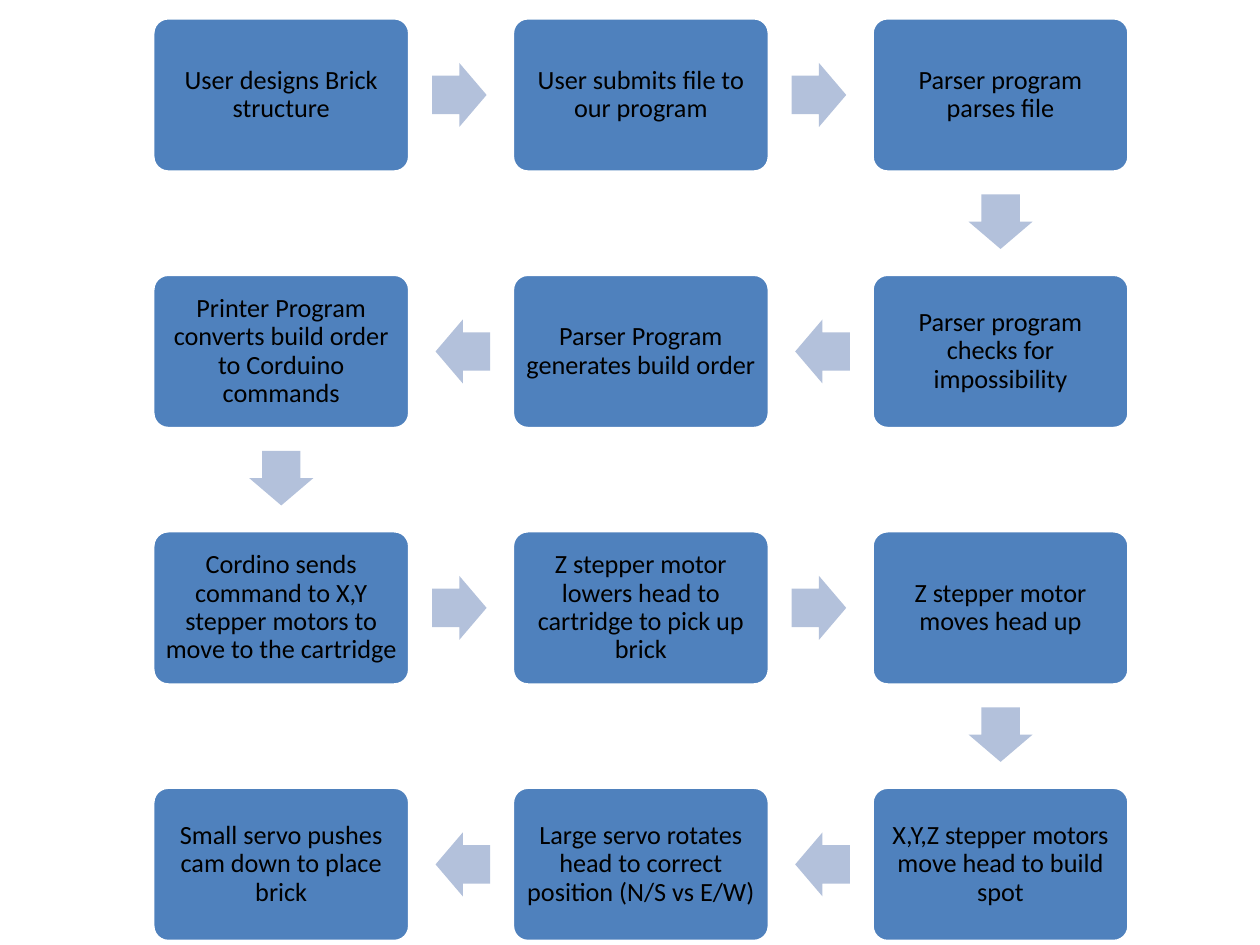
from dataclasses import dataclass

from pptx import Presentation
from pptx.dml.color import RGBColor
from pptx.enum.shapes import MSO_SHAPE
from pptx.enum.text import MSO_ANCHOR, PP_ALIGN
from pptx.util import Cm, Pt

BOX = MSO_SHAPE.ROUNDED_RECTANGLE
ARROW = MSO_SHAPE.RIGHT_ARROW
MIDDLE = MSO_ANCHOR.MIDDLE
CENTER = PP_ALIGN.CENTER

BLUE = RGBColor(0x4F, 0x81, 0xBD)
PALE = RGBColor(0xB3, 0xC1, 0xDB)
WHITE = RGBColor(0xFF, 0xFF, 0xFF)
BLACK = RGBColor(0x00, 0x00, 0x00)

# Lengths in centimetres
LEFT, TOP = 3.08, 0.36
BOX_W, BOX_H = 5.18, 3.11
STEP_X, STEP_Y = 7.25, 5.17
ARROW_W, ARROW_H = 1.1, 1.29
REACH = 1.0  # from a box edge to the middle of its arrow
COLS = 3

INSET = Cm(0.15)
FRAME = {
    "word_wrap": True,
    "vertical_anchor": MIDDLE,
    "margin_left": INSET,
    "margin_right": INSET,
    "margin_top": INSET,
    "margin_bottom": INSET,
}
PARA = {"alignment": CENTER, "line_spacing": 0.9}
FONT = {"name": "Calibri", "size": Pt(15)}

TEXTS = [
    "User designs Brick structure",
    "User submits file to our program",
    "Parser program parses file",
    "Parser program checks for impossibility",
    "Parser Program generates build order",
    "Printer Program converts build order to Corduino commands",
    "Cordino sends command to X,Y stepper motors to move to the cartridge",
    "Z stepper motor lowers head to cartridge to pick up brick",
    "Z stepper motor moves head up",
    "X,Y,Z stepper motors move head to build spot",
    "Large servo rotates head to correct position (N/S vs E/W)",
    "Small servo pushes cam down to place brick",
]


@dataclass
class Step:
    text: str
    col: int
    row: int

    def mid(self) -> tuple[float, float]:
        return (LEFT + self.col * STEP_X + BOX_W / 2,
                TOP + self.row * STEP_Y + BOX_H / 2)


def snake(texts: list[str]) -> list[Step]:
    """Lay the texts on the grid, turning back at the end of each row."""
    steps = []
    for i, text in enumerate(texts):
        row, col = divmod(i, COLS)
        steps.append(Step(text, COLS - 1 - col if row % 2 else col, row))
    return steps


def style(item, values: dict) -> None:
    for name, value in values.items():
        setattr(item, name, value)


def add_form(slide, kind, mid: tuple[float, float], w: float, h: float, color):
    x, y = mid
    form = slide.shapes.add_shape(kind, Cm(x - w / 2), Cm(y - h / 2), Cm(w), Cm(h))
    form.shadow.inherit = False
    form.fill.solid()
    form.fill.fore_color.rgb = color
    return form


def add_box(slide, step: Step) -> None:
    box = add_form(slide, BOX, step.mid(), BOX_W, BOX_H, BLUE)
    box.adjustments[0] = 0.1
    box.line.color.rgb = WHITE
    box.line.width = Pt(2)
    frame = box.text_frame
    frame.text = step.text
    para = frame.paragraphs[0]
    font = para.runs[0].font
    style(frame, FRAME)
    style(para, PARA)
    style(font, FONT)
    font.color.rgb = BLACK


def add_arrow(slide, start: Step, end: Step) -> None:
    dx, dy = end.col - start.col, end.row - start.row
    x, y = start.mid()
    mid = (x + dx * (BOX_W / 2 + REACH), y + dy * (BOX_H / 2 + REACH))
    arrow = add_form(slide, ARROW, mid, ARROW_W, ARROW_H, PALE)
    arrow.adjustments[0] = 0.6
    arrow.adjustments[1] = 0.5
    arrow.line.fill.background()
    arrow.rotation = 90 if dy else 180 if dx < 0 else 0


def main() -> None:
    deck = Presentation()
    deck.slide_width, deck.slide_height = Cm(25.4), Cm(19.05)
    slide = deck.slides.add_slide(deck.slide_layouts[6])
    steps = snake(TEXTS)
    for step in steps:
        add_box(slide, step)
    for start, end in zip(steps, steps[1:]):
        add_arrow(slide, start, end)
    deck.save("out.pptx")


if __name__ == "__main__":
    main()
